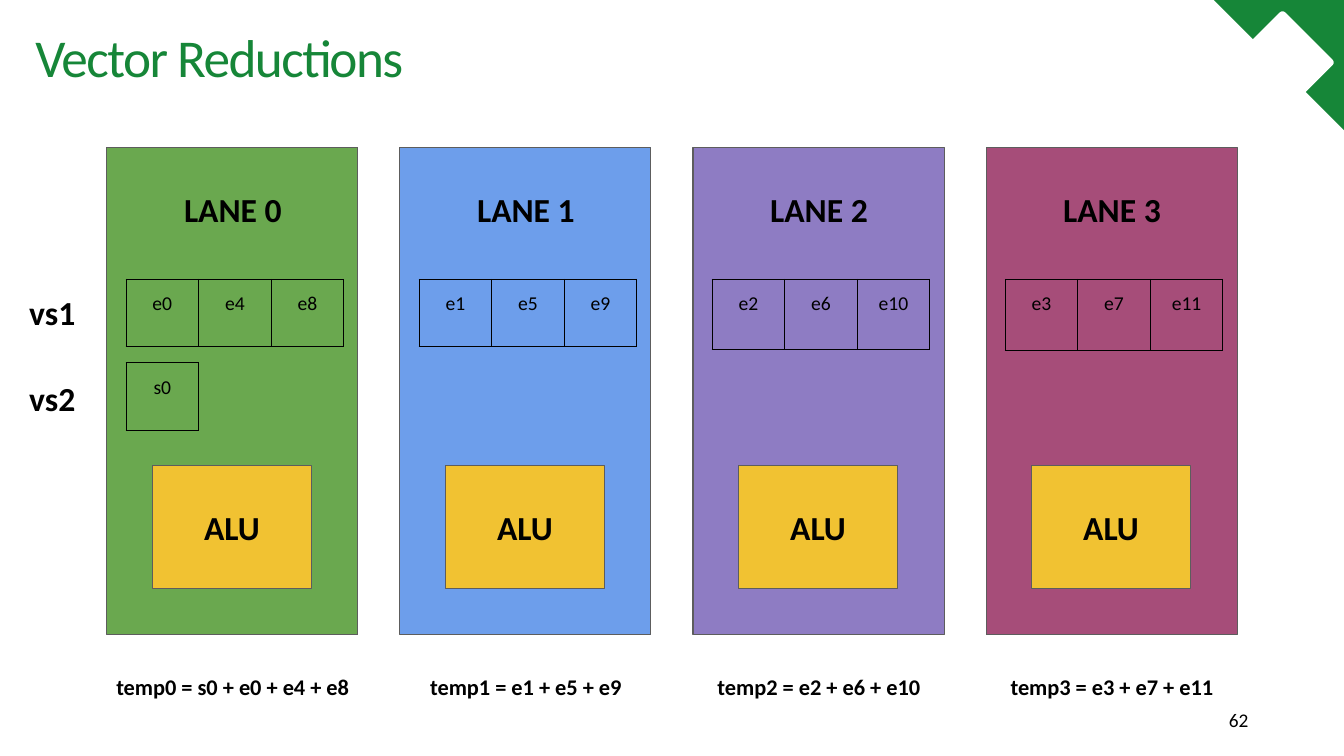
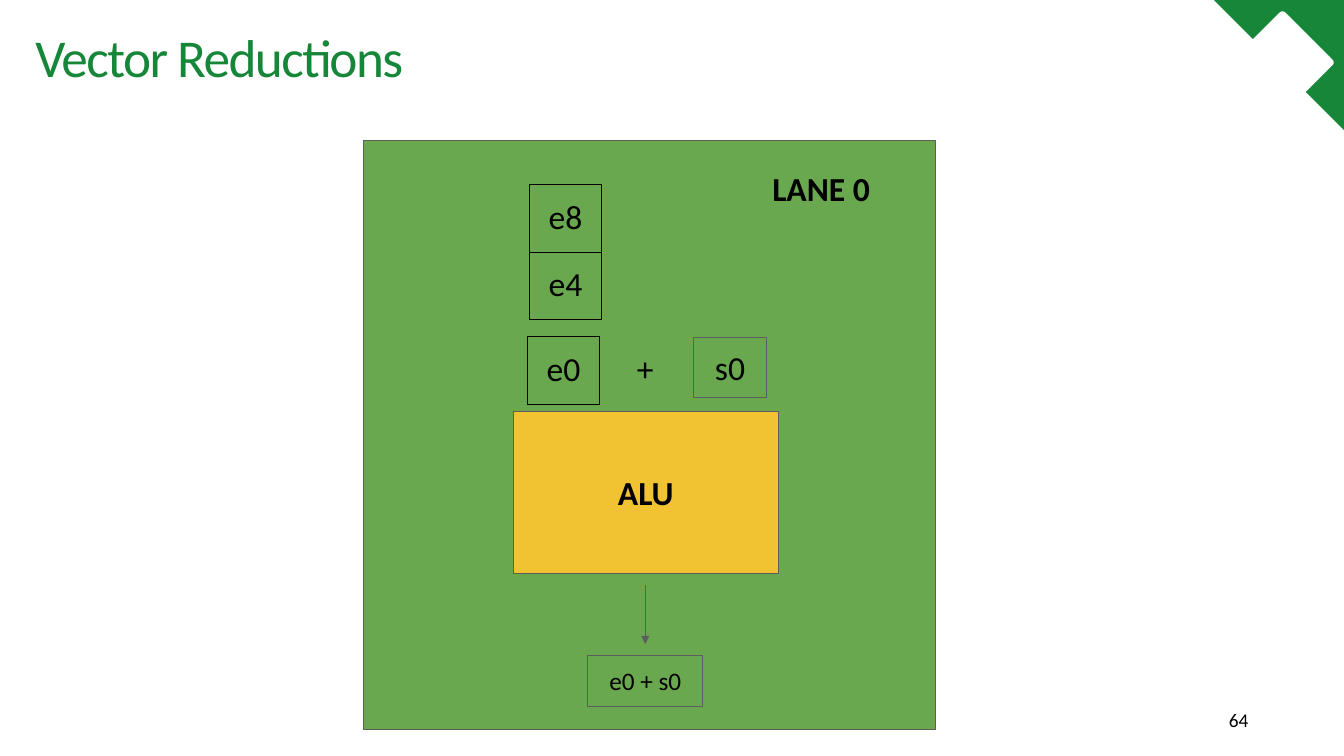
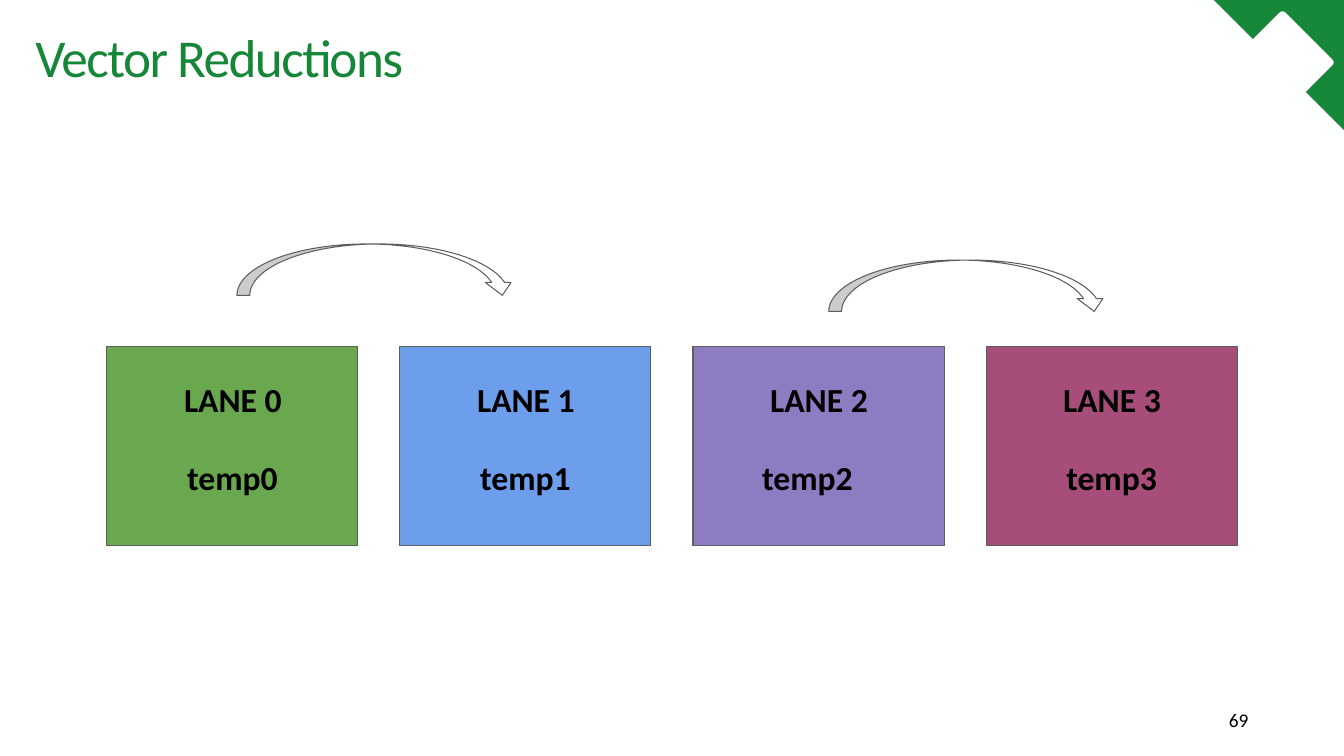
from dataclasses import dataclass

from lxml import etree
from pptx import Presentation
from pptx.dml.color import RGBColor
from pptx.enum.shapes import MSO_CONNECTOR, MSO_SHAPE
from pptx.enum.text import MSO_ANCHOR, MSO_AUTO_SIZE, PP_ALIGN
from pptx.oxml.ns import qn
from pptx.util import Inches, Pt

RECTANGLE = MSO_SHAPE.RECTANGLE
ROUNDED = MSO_SHAPE.ROUNDED_RECTANGLE
TRIANGLE = MSO_SHAPE.ISOSCELES_TRIANGLE
CURVED_ARROW = MSO_SHAPE.CURVED_DOWN_ARROW
STRAIGHT = MSO_CONNECTOR.STRAIGHT
LEFT, CENTER = PP_ALIGN.LEFT, PP_ALIGN.CENTER
TOP, MIDDLE = MSO_ANCHOR.TOP, MSO_ANCHOR.MIDDLE
NO_AUTOFIT = MSO_AUTO_SIZE.NONE

FONT = "Calibri"
BLACK = RGBColor(0x00, 0x00, 0x00)
WHITE = RGBColor(0xFF, 0xFF, 0xFF)
BRAND_GREEN = RGBColor(0x16, 0x86, 0x38)
OUTLINE = RGBColor(0x5D, 0x5D, 0x5D)
ALU_YELLOW = RGBColor(0xF1, 0xC2, 0x32)
LANE_COLORS = (
    RGBColor(0x6A, 0xA8, 0x4F),
    RGBColor(0x6D, 0x9E, 0xEB),
    RGBColor(0x8E, 0x7C, 0xC3),
    RGBColor(0xA6, 0x4D, 0x79),
)

COLUMN = ROW = Inches(1)
LINE_WIDTH = Pt(0.75)
PADDING = 0.13
CELL_WIDTH, CELL_HEIGHT = 0.72, 0.67
LANE_LEFT, LANE_RIGHT, LANE_WIDTH = 1.06, 12.27, 2.49
LANE_PITCH = (LANE_RIGHT - LANE_LEFT - LANE_WIDTH) / (len(LANE_COLORS) - 1)
TITLE_ONLY = 5


@dataclass
class Box:
    x: float
    y: float
    width: float
    height: float

    def inset(self, x, y, width, height):
        return Box(self.x + x, self.y + y, width, height)

    def lengths(self):
        return (round(self.x * COLUMN), round(self.y * ROW),
                round(self.width * COLUMN), round(self.height * ROW))


SLIDE = Box(0, 0, 13.33, 7.5)
TITLE = SLIDE.inset(0.35, 0.2, 11.67, 0.72)


def write(frame, text, size, bold=False, align=CENTER, color=BLACK):
    para = frame.paragraphs[0]
    para.alignment = align
    span = para.add_run()
    span.text = text
    span.font.name = FONT
    span.font.size = Pt(size)
    span.font.bold = bold
    span.font.color.rgb = color
    return span


def set_frame(frame, padding=PADDING, anchor=TOP):
    frame.word_wrap = True
    frame.auto_size = NO_AUTOFIT
    frame.vertical_anchor = anchor
    frame.margin_left = frame.margin_right = round(padding * COLUMN)
    frame.margin_top = frame.margin_bottom = round(padding * ROW)


def add_label(page, box, text, size=24, bold=True, align=CENTER,
              padding=PADDING, anchor=TOP):
    label = page.shapes.add_textbox(*box.lengths())
    set_frame(label.text_frame, padding, anchor)
    write(label.text_frame, text, size, bold, align)


def add_block(page, box, fill=None, outline=OUTLINE, kind=RECTANGLE,
              text="", size=24, bold=False):
    block = page.shapes.add_shape(kind, *box.lengths())
    block.shadow.inherit = False
    if fill is None:
        block.fill.background()
    else:
        block.fill.solid()
        block.fill.fore_color.rgb = fill
    if outline is None:
        block.line.fill.background()
    else:
        block.line.color.rgb = outline
        block.line.width = LINE_WIDTH
    if text:
        set_frame(block.text_frame, anchor=MIDDLE)
        write(block.text_frame, text, size, bold)
    return block


def add_alu(page, box):
    add_block(page, box, ALU_YELLOW, text="ALU", bold=True)


def border_cell(cell):
    properties = cell._tc.get_or_add_tcPr()
    for side in ("lnL", "lnR", "lnT", "lnB"):
        line = etree.SubElement(properties, qn("a:" + side), w=str(LINE_WIDTH))
        fill = etree.SubElement(line, qn("a:solidFill"))
        etree.SubElement(fill, qn("a:srgbClr"), val=str(BLACK))


def add_register(page, lane, x, y, rows, size, cell_height=CELL_HEIGHT):
    box = lane.inset(x, y, CELL_WIDTH * len(rows[0]), cell_height * len(rows))
    table = page.shapes.add_table(len(rows), len(rows[0]), *box.lengths()).table
    table.first_row = table.horz_banding = False
    for row, texts in zip(table.rows, rows):
        row.height = round(cell_height * ROW)
        for cell, text in zip(row.cells, texts):
            cell.margin_left = cell.margin_right = round(PADDING * COLUMN)
            cell.margin_top = cell.margin_bottom = round(PADDING * ROW)
            border_cell(cell)
            cell.fill.background()
            write(cell.text_frame, text, size)


def add_arrow(page, box):
    left, top, width, height = box.lengths()
    arrow = page.shapes.add_connector(STRAIGHT, left, top, left + width, top + height)
    arrow.line.color.rgb = OUTLINE
    arrow.line.width = LINE_WIDTH
    properties = arrow.element.spPr
    etree.SubElement(properties.find(qn("a:ln")), qn("a:tailEnd"), type="triangle")
    etree.SubElement(properties, qn("a:effectLst"))


def add_corner(page, layout):
    corner = SLIDE.inset(12.04, 0, 1.3, 1.3)
    triangle = add_block(page, corner, BRAND_GREEN, None, TRIANGLE)
    triangle.adjustments[0] = 1
    triangle.rotation = 270
    pieces = [triangle]
    for x, y, side in ((0.08, 0.42, 0.41), (0.31, 0.25, 0.74)):
        notch = add_block(page, corner.inset(x, y, side, side), WHITE, None, ROUNDED)
        notch.adjustments[0] = 0.05
        notch.rotation = 45
        pieces.append(notch)
    for piece in pieces:
        layout.shapes.element.append(piece.element)


def add_page(deck, number):
    page = deck.slides.add_slide(deck.slide_layouts[TITLE_ONLY])
    title = page.shapes.title
    title.left, title.top, title.width, title.height = TITLE.lengths()
    set_frame(title.text_frame, 0, MIDDLE)
    span = write(title.text_frame, "Vector Reductions", 38, align=LEFT, color=BRAND_GREEN)
    span._r.get_or_add_rPr().set("spc", "-110")
    add_label(page, SLIDE.inset(12.09, 6.89, 0.39, 0.51), str(number), 13.8, False,
              padding=0, anchor=MIDDLE)
    return page


def add_lane(page, index, y, height, label_y):
    lane = SLIDE.inset(LANE_LEFT + index * LANE_PITCH, y, LANE_WIDTH, height)
    add_block(page, lane, LANE_COLORS[index])
    add_label(page, lane.inset(0.48, label_y, 1.54, 0.67), f"LANE {index}")
    return lane


def fill_lanes_page(page):
    cell_heights = (0.67, 0.67, 0.7, 0.71)
    for index, cell_height in enumerate(cell_heights):
        lane = add_lane(page, index, 1.46, 4.84, 0.28)
        elements = [f"e{index + step}" for step in (0, 4, 8)]
        add_register(page, lane, 0.19, 1.31, [elements], 14, cell_height)
        terms = elements
        if index == 0:
            add_register(page, lane, 0.19, 2.14, [["s0"]], 14)
            terms = ["s0"] + elements
        add_alu(page, lane.inset(0.45, 3.16, 1.58, 1.22))
        add_label(page, lane.inset(-0.43, 5.09, 3.36, 0.54),
                  f"temp{index} = " + " + ".join(terms), 16)
    for text, y in (("vs1", 2.77), ("vs2", 3.62)):
        add_label(page, SLIDE.inset(0.16, y, 0.83, 0.67), text, align=LEFT)


def fill_alu_page(page):
    lane = SLIDE.inset(3.61, 1.39, 5.67, 5.85)
    add_block(page, lane, LANE_COLORS[0])
    add_label(page, lane.inset(2.35, 0.15, 4.37, 0.67), "LANE 0")
    add_register(page, lane, 1.64, 0.44, [["e8"], ["e4"]], 24)
    add_register(page, lane, 1.62, 1.95, [["e0"]], 24)
    add_label(page, lane.inset(1.96, 1.93, 1.66, 0.67), "+", bold=False)
    add_block(page, lane.inset(3.27, 1.96, 0.72, 0.59), text="s0")
    add_alu(page, lane.inset(1.48, 2.69, 2.63, 1.61))
    add_arrow(page, lane.inset(2.79, 4.41, 0, 0.59))
    add_block(page, lane.inset(2.22, 5.11, 1.14, 0.51), text="e0 + s0", size=18)


def fill_exchange_page(page):
    for index, shift in enumerate((0, 0, -0.11, 0)):
        lane = add_lane(page, index, 3.44, 1.97, 0.19)
        add_label(page, lane.inset(shift, 0.96, LANE_WIDTH, 0.67), f"temp{index}")
    for x, y in ((2.35, 2.42), (8.22, 2.58)):
        add_block(page, SLIDE.inset(x, y, 2.76, 0.51), WHITE, kind=CURVED_ARROW)


def main():
    deck = Presentation()
    _, _, deck.slide_width, deck.slide_height = SLIDE.lengths()
    fillers = ((62, fill_lanes_page), (64, fill_alu_page), (69, fill_exchange_page))
    for number, fill_page in fillers:
        fill_page(add_page(deck, number))
    add_corner(deck.slides[0], deck.slide_layouts[TITLE_ONLY])
    deck.save("out.pptx")


if __name__ == "__main__":
    main()
